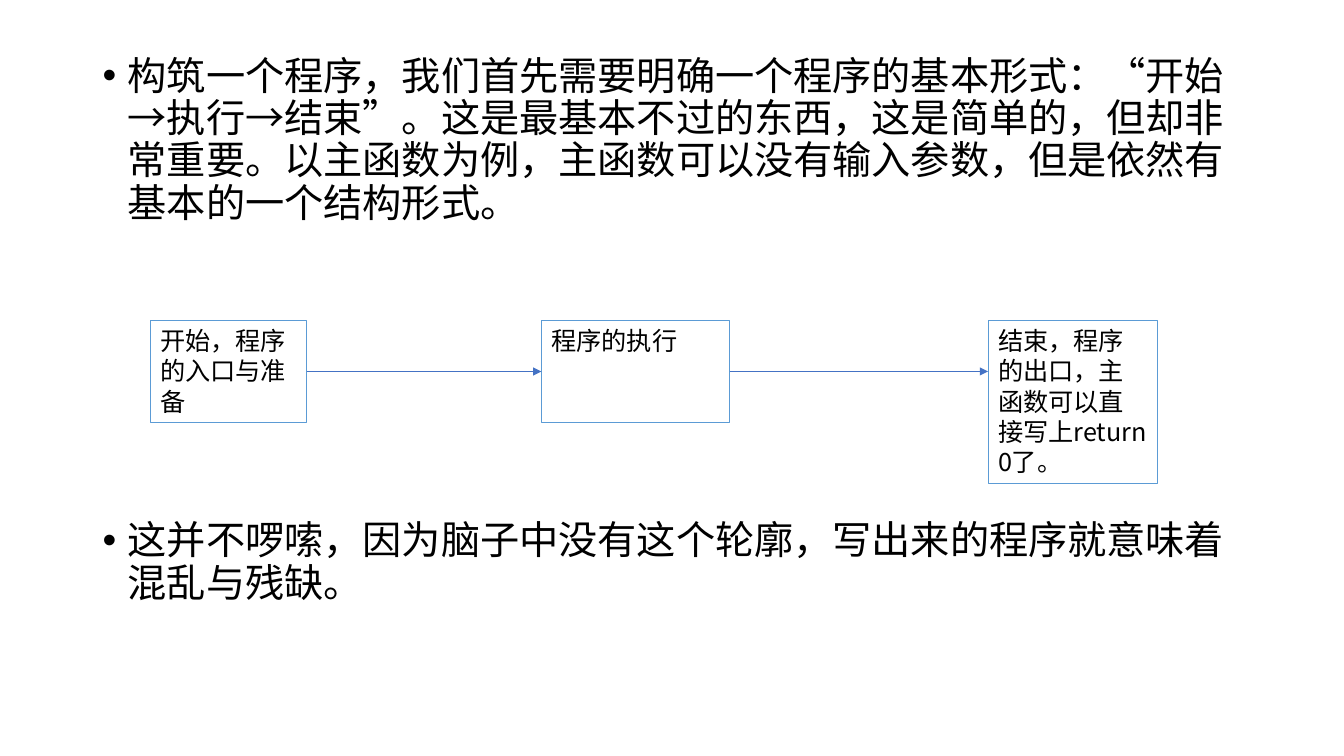
from dataclasses import dataclass
from itertools import pairwise

from pptx import Presentation
from pptx.dml.color import RGBColor
from pptx.enum.shapes import MSO_CONNECTOR, MSO_SHAPE
from pptx.enum.text import MSO_ANCHOR, PP_ALIGN
from pptx.oxml.ns import qn
from pptx.util import Emu, Inches, Pt
from lxml import etree

RECTANGLE = MSO_SHAPE.RECTANGLE
STRAIGHT = MSO_CONNECTOR.STRAIGHT
TOP = MSO_ANCHOR.TOP
LEFT = PP_ALIGN.LEFT


@dataclass(frozen=True)
class Theme:
    font: str = "Noto Sans CJK SC"
    ink: RGBColor = RGBColor(0, 0, 0)
    stage_line: RGBColor = RGBColor(0x5B, 0x9B, 0xD5)
    arrow_line: RGBColor = RGBColor(0x44, 0x72, 0xC4)
    body_size: int = 28
    stage_size: int = 18
    stage_width: float = 0.75
    arrow_width: float = 0.5


@dataclass(frozen=True)
class Stage:
    text: str
    column: float
    columns: float
    rows: float


THEME = Theme()
deck = Presentation()
deck.slide_width, deck.slide_height = Inches(13.33), Inches(7.5)
COLUMN, ROW = deck.slide_width / 100, deck.slide_height / 100
STAGE_TOP, STAGE_ROWS = 42.4, 13.47
FLOW_ROW = STAGE_TOP + STAGE_ROWS / 2

STAGES = [
    Stage("开始，程序的入口与准备", 11.18, 11.63, STAGE_ROWS),
    Stage("程序的执行", 40.28, 14.03, STAGE_ROWS),
    Stage("结束，程序的出口，主函数可以直接写上return 0了。", 73.52, 12.6, 21.6),
]
POINTS = [
    ("构筑一个程序，我们首先需要明确一个程序的基本形式：“开始→执行→结束”。"
     "这是最基本不过的东西，这是简单的，但却非常重要。以主函数为例，"
     "主函数可以没有输入参数，但是依然有基本的一个结构形式。", 10),
    ("这并不啰嗦，因为脑子中没有这个轮廓，写出来的程序就意味着混乱与残缺。", 211),
]


def across(columns: float) -> Emu:
    return Emu(round(columns * COLUMN))


def down(rows: float) -> Emu:
    return Emu(round(rows * ROW))


def write(paragraph, text: str, *, size: int, bullet: bool = False,
          before: float = 0, spacing: float = 1.0) -> None:
    paragraph.alignment = LEFT
    paragraph.space_before = Pt(before)
    paragraph.line_spacing = spacing
    run = paragraph.add_run()
    run.text = text
    run.font.size = Pt(size)
    run.font.name = THEME.font
    run.font.color.rgb = THEME.ink
    properties = run.font._element
    properties.set("lang", "zh-CN")
    etree.SubElement(properties, qn("a:ea"), typeface=THEME.font)
    if bullet:
        layout = paragraph._p.get_or_add_pPr()
        layout.set("marL", str(Inches(0.25)))
        layout.set("indent", str(-Inches(0.25)))
        etree.SubElement(layout, qn("a:buFont"), typeface="Arial")
        etree.SubElement(layout, qn("a:buChar"), char="•")


def draw_points(slide) -> None:
    body = slide.shapes.add_textbox(across(6.9), down(6.8), across(86.25), down(86.27))
    frame = body.text_frame
    frame.word_wrap = True
    for index, (text, before) in enumerate(POINTS):
        paragraph = frame.add_paragraph() if index else frame.paragraphs[0]
        write(paragraph, text, size=THEME.body_size, bullet=True,
              before=before, spacing=0.9)


def draw_stage(slide, stage: Stage) -> None:
    box = slide.shapes.add_shape(RECTANGLE, across(stage.column), down(STAGE_TOP),
                                 across(stage.columns), down(stage.rows))
    box.shadow.inherit = False
    box.fill.background()
    box.line.color.rgb = THEME.stage_line
    box.line.width = Pt(THEME.stage_width)
    frame = box.text_frame
    frame.word_wrap = True
    frame.vertical_anchor = TOP
    write(frame.paragraphs[0], stage.text, size=THEME.stage_size)


def draw_arrow(slide, source: Stage, target: Stage) -> None:
    arrow = slide.shapes.add_connector(
        STRAIGHT, across(source.column + source.columns), down(FLOW_ROW),
        across(target.column), down(FLOW_ROW))
    arrow.line.color.rgb = THEME.arrow_line
    arrow.line.width = Pt(THEME.arrow_width)
    etree.SubElement(arrow.line._get_or_add_ln(), qn("a:tailEnd"), type="triangle")
    etree.SubElement(arrow._element.spPr, qn("a:effectLst"))


slide = deck.slides.add_slide(deck.slide_layouts[6])
draw_points(slide)
for stage in STAGES:
    draw_stage(slide, stage)
for source, target in pairwise(STAGES):
    draw_arrow(slide, source, target)
deck.save("out.pptx")
